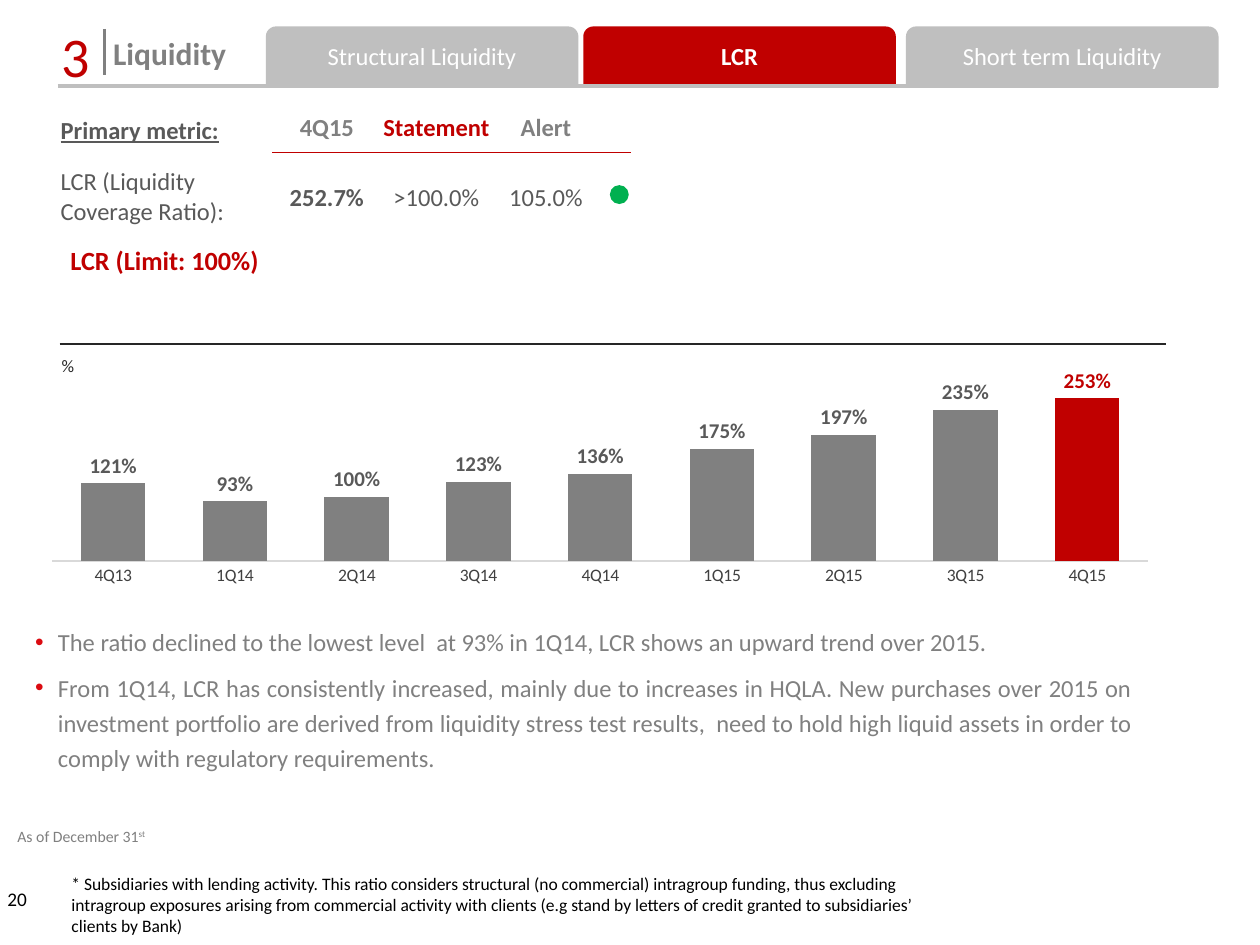
from lxml import etree
from pptx import Presentation
from pptx.chart.data import CategoryChartData
from pptx.dml.color import RGBColor
from pptx.enum.chart import XL_CHART_TYPE, XL_LABEL_POSITION, XL_TICK_MARK
from pptx.enum.shapes import MSO_CONNECTOR, MSO_SHAPE
from pptx.enum.text import MSO_ANCHOR, PP_ALIGN
from pptx.oxml.ns import qn
from pptx.util import Pt

RED, GRAY, DARK, SILVER = "C00000", "808080", "595959", "BFBFBF"
WHITE, BLACK, GREEN = "FFFFFF", "000000", "00B050"
FONT = "Calibri"


def rgb(value):
    return RGBColor.from_string(value)


def style_font(font, size, color, bold=False):
    font.name, font.size, font.bold = FONT, Pt(size), bold
    font.color.rgb = rgb(color)


def add_run(paragraph, text, size, color, bold=False):
    run = paragraph.add_run()
    run.text = text
    style_font(run.font, size, color, bold)
    return run


def add_text(slide, box, text, size, color, bold=False, align=PP_ALIGN.LEFT,
             anchor=MSO_ANCHOR.TOP, spacing=None):
    frame = slide.shapes.add_textbox(*map(Pt, box)).text_frame
    frame.word_wrap = True
    frame.vertical_anchor = anchor
    paragraph = frame.paragraphs[0]
    paragraph.alignment = align
    if spacing:
        paragraph.line_spacing = Pt(spacing)
    add_run(paragraph, text, size, color, bold)
    return paragraph


def add_shape(slide, kind, box, fill=None):
    shape = slide.shapes.add_shape(kind, *map(Pt, box))
    shape.shadow.inherit = False
    shape.line.fill.background()
    if fill:
        shape.fill.solid()
        shape.fill.fore_color.rgb = rgb(fill)
    else:
        shape.fill.background()
    shape.text_frame.vertical_anchor = MSO_ANCHOR.MIDDLE
    return shape


def add_line(slide, x1, y1, x2, y2, color, width):
    line = slide.shapes.add_connector(MSO_CONNECTOR.STRAIGHT, *map(Pt, (x1, y1, x2, y2)))
    line.line.color.rgb = rgb(color)
    line.line.width = Pt(width)
    etree.SubElement(line._element.spPr, qn("a:effectLst"))


def add_tab(slide, box, text, active):
    tab = add_shape(slide, MSO_SHAPE.ROUND_2_SAME_RECTANGLE, box, RED if active else SILVER)
    tab.text_frame.word_wrap = active
    paragraph = tab.text_frame.paragraphs[0]
    paragraph.alignment = PP_ALIGN.CENTER
    paragraph.line_spacing = Pt(14)
    add_run(paragraph, text, 14, WHITE, active)


def add_header(slide, left, top, width):
    tabs = [("Structural Liquidity", 118.8), ("LCR", 300.2), ("Short term Liquidity", 484.6)]
    for text, offset in tabs:
        add_tab(slide, (left + offset, top, 178.6, 34.6), text, text == "LCR")
    add_text(slide, (left - 5, top + 4.3, 28, 23.8), "3", 32, RED,
             align=PP_ALIGN.CENTER, anchor=MSO_ANCHOR.MIDDLE)
    add_line(slide, left + 26.7, top + 1.4, left + 26.7, top + 28, GRAY, 1.5)
    add_text(slide, (left + 24.5, top + 6.5, 118.8, 24.5), "Liquidity", 18, GRAY, True, spacing=16)
    add_line(slide, left, top + 33.9, left + width, top + 33.9, SILVER, 2.25)


def set_border(cell, side, color):
    border = etree.SubElement(cell._tc.get_or_add_tcPr(), qn("a:" + side), w="12700")
    if color:
        solid = etree.SubElement(border, qn("a:solidFill"))
        etree.SubElement(solid, qn("a:srgbClr"), val=color)
    else:
        etree.SubElement(border, qn("a:noFill"))


def add_metric_table(slide, left, top):
    widths, heights = [123.8, 62.6, 62.6, 62.6, 17.3], [28.1, 51.1]
    rows = [
        [("Primary metric:", DARK, True), ("4Q15", GRAY, True), ("Statement", RED, True),
         ("Alert", GRAY, True), None],
        [("LCR (Liquidity\nCoverage Ratio):", DARK, False), ("252.7%", DARK, True),
         (">100.0%", DARK, False), ("105.0%", DARK, False), None],
    ]
    table = slide.shapes.add_table(2, 5, Pt(left), Pt(top), Pt(sum(widths)),
                                   Pt(sum(heights))).table
    table.first_row = table.horz_banding = False
    for column, width in zip(table.columns, widths):
        column.width = Pt(width)
    for r, (height, row) in enumerate(zip(heights, rows)):
        table.rows[r].height = Pt(height)
        for c, content in enumerate(row):
            cell = table.cell(r, c)
            cell.vertical_anchor = MSO_ANCHOR.BOTTOM if r == c == 0 else MSO_ANCHOR.MIDDLE
            cell.margin_left = cell.margin_right = Pt(0 if c else 2.9)
            cell.margin_top = Pt(0.7 if r and c else 3.6)
            cell.margin_bottom = Pt(0 if c and (r or not content) else 3.6)
            for side in ("lnL", "lnR", "lnT", "lnB"):
                ruled = c > 0 and side == ("lnT" if r else "lnB")
                set_border(cell, side, RED if ruled else None)
            cell.fill.background()
            if not content:
                continue
            text, color, bold = content
            paragraph = cell.text_frame.paragraphs[0]
            paragraph.alignment = PP_ALIGN.CENTER if c else PP_ALIGN.LEFT
            for i, part in enumerate(text.split("\n")):
                if i:
                    paragraph.add_line_break()
                run = add_run(paragraph, part, 14, color, bold)
                run.font.underline = r == c == 0
    add_shape(slide, MSO_SHAPE.OVAL, (left + 316.8, top + 46.8, 10.8, 10.8), GREEN)


def set_plot_layout(chart, x, y, width, height):
    plot_area = chart._chartSpace.chart.plotArea
    for old in plot_area.findall(qn("c:layout")):
        plot_area.remove(old)
    layout = etree.Element(qn("c:layout"))
    manual = etree.SubElement(layout, qn("c:manualLayout"))
    for tag, value in (("layoutTarget", "inner"), ("xMode", "edge"), ("yMode", "edge"),
                       ("x", x), ("y", y), ("w", width), ("h", height)):
        etree.SubElement(manual, qn("c:" + tag), val=str(value))
    plot_area.insert(0, layout)


def add_lcr_chart(slide, box):
    data = CategoryChartData(number_format="0%")
    data.categories = ["4Q13", "1Q14", "2Q14", "3Q14", "4Q14", "1Q15", "2Q15", "3Q15", "4Q15"]
    data.add_series("LCR", [1.21, 0.93, 1, 1.23, 1.36, 1.75, 1.97, 2.35, 2.53])
    chart = slide.shapes.add_chart(XL_CHART_TYPE.COLUMN_CLUSTERED, *map(Pt, box), data).chart
    chart.has_legend = chart.has_title = False
    style_font(chart.font, 10, DARK)
    set_plot_layout(chart, 0, 0.153, 0.989, 0.66)

    quarters, ratios = chart.category_axis, chart.value_axis
    quarters.major_tick_mark = XL_TICK_MARK.NONE
    quarters.format.line.color.rgb = rgb("D9D9D9")
    quarters.format.line.width = Pt(0.75)
    style_font(quarters.tick_labels.font, 10, "404040")
    ratios.visible = ratios.has_major_gridlines = False
    ratios.minimum_scale, ratios.maximum_scale = 0, 3

    plot = chart.plots[0]
    plot.gap_width, plot.vary_by_categories = 89, False
    series = plot.series[0]
    series.format.fill.solid()
    series.format.fill.fore_color.rgb = rgb(GRAY)
    labels = series.data_labels
    labels.show_value = True
    labels.number_format, labels.number_format_is_linked = "0%", False
    labels.position = XL_LABEL_POSITION.OUTSIDE_END
    style_font(labels.font, 12, DARK, True)
    latest = series.points[8]
    latest.format.fill.solid()
    latest.format.fill.fore_color.rgb = rgb(RED)
    style_font(latest.data_label.font, 12, RED, True)
    latest.data_label.position = XL_LABEL_POSITION.OUTSIDE_END


def add_chart_heading(slide, left, top, width):
    heading = add_shape(slide, MSO_SHAPE.RECTANGLE, (left, top, 313.2, 15.1))
    heading.text_frame.word_wrap = False
    paragraph = heading.text_frame.paragraphs[0]
    paragraph.alignment = PP_ALIGN.LEFT
    add_run(paragraph, "LCR (Limit: 100%)", 15, RED, True)
    add_line(slide, left + 1, top + 55.4, left + width, top + 55.4, "262626", 1)
    add_text(slide, (left - 5, top + 58.3, 146.9, 19.4), "%", 10, "262626")


def add_comments(slide, box):
    comments = [
        ("The ratio declined to the lowest level  at 93% in 1Q14, LCR shows an upward trend "
         "over 2015.", PP_ALIGN.LEFT),
        ("From 1Q14, LCR has consistently increased, mainly due to increases in HQLA. New "
         "purchases over 2015 on investment portfolio are derived from liquidity stress test "
         "results,  need to hold high liquid assets in order to comply with regulatory "
         "requirements.", PP_ALIGN.JUSTIFY)]
    frame = add_shape(slide, MSO_SHAPE.RECTANGLE, box, WHITE).text_frame
    frame.word_wrap = True
    frame.margin_top = Pt(29.6)
    for i, (text, align) in enumerate(comments):
        paragraph = frame.add_paragraph() if i else frame.paragraphs[0]
        properties = paragraph._p.get_or_add_pPr()
        properties.set("marL", str(Pt(13)))
        properties.set("indent", str(-Pt(13)))
        bullet_color = etree.SubElement(properties, qn("a:buClr"))
        etree.SubElement(bullet_color, qn("a:srgbClr"), val="DB0B11")
        etree.SubElement(properties, qn("a:buFont"), typeface="Arial")
        etree.SubElement(properties, qn("a:buChar"), char="•")
        paragraph.alignment = align
        paragraph.line_spacing = Pt(20)
        paragraph.space_before = Pt(6 if i else 0)
        add_run(paragraph, text, 14, GRAY)


def add_footer(slide, left, top):
    as_of = add_text(slide, (left + 2.9, top, 103.7, 18), "As of December 31", 9, GRAY)
    ordinal = add_run(as_of, "st", 9, GRAY)
    ordinal.font._element.set("baseline", "30000")
    add_text(slide, (left + 33.8, top + 26.6, 513.4, 43.9),
             "* Subsidiaries with lending activity. This ratio considers structural (no commercial) "
             "intragroup funding, thus excluding intragroup exposures arising from commercial "
             "activity with clients (e.g stand by letters of credit granted to subsidiaries’ "
             "clients by Bank)", 10, BLACK)
    add_text(slide, (left - 2.9, top + 34.6, 35.3, 28.8), "20", 11, BLACK)


def main():
    deck = Presentation()
    deck.slide_width, deck.slide_height = Pt(720), Pt(540)
    slide = deck.slides.add_slide(deck.slide_layouts[6])
    add_comments(slide, (13, 303.8, 641.5, 162.7))
    add_lcr_chart(slide, (29.5, 185, 633.6, 167))
    add_metric_table(slide, 31.7, 59)
    add_header(slide, 33.1, 15.1, 663.1)
    add_chart_heading(slide, 33.1, 141.1, 632.9)
    add_footer(slide, 0, 468.7)
    deck.save("out.pptx")


if __name__ == "__main__":
    main()
